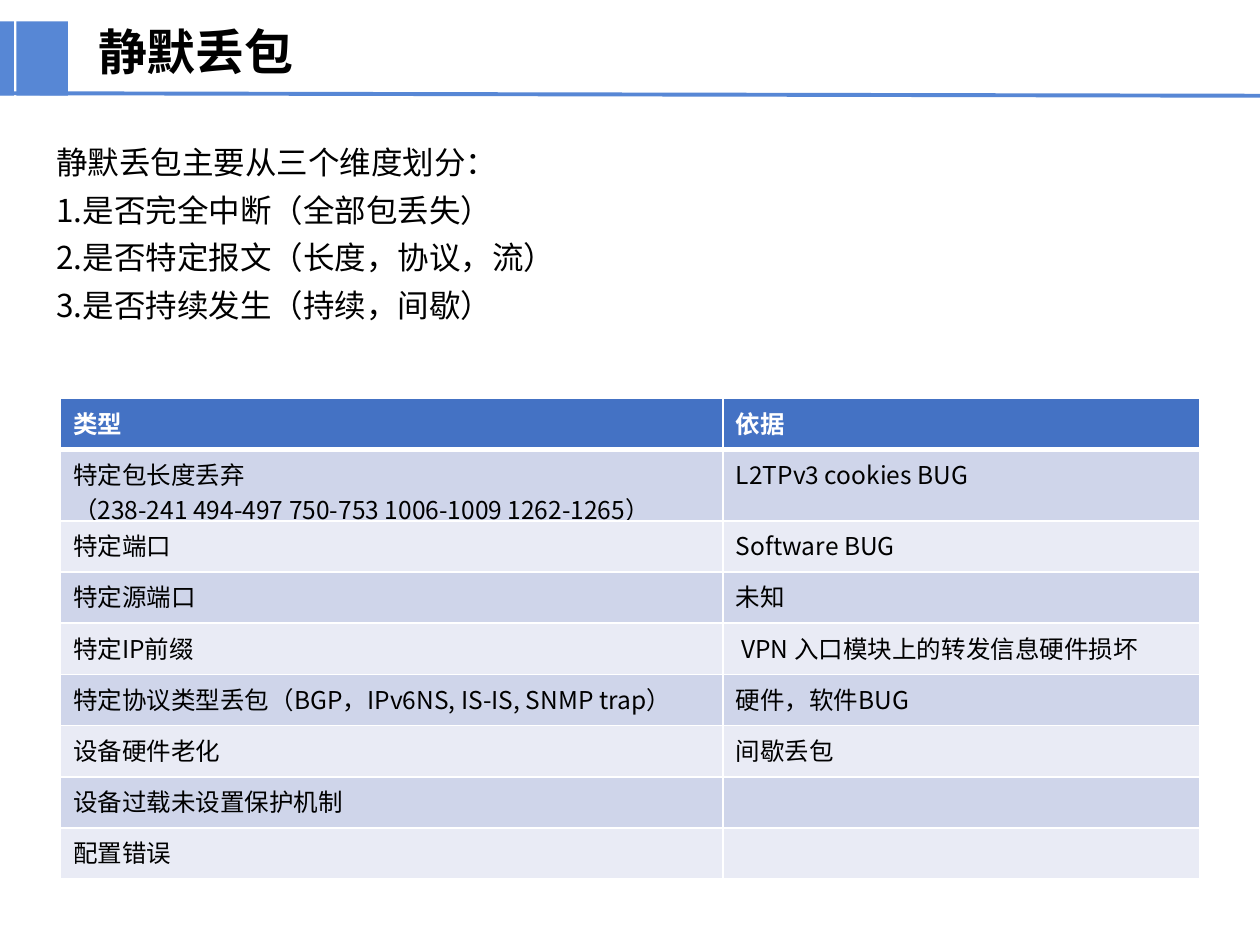
from dataclasses import dataclass

from lxml import etree
from pptx import Presentation
from pptx.dml.color import RGBColor
from pptx.enum.lang import MSO_LANGUAGE_ID
from pptx.enum.shapes import MSO_CONNECTOR, MSO_SHAPE
from pptx.enum.text import MSO_ANCHOR
from pptx.oxml.ns import qn
from pptx.slide import Slide
from pptx.table import _Cell
from pptx.text.text import TextFrame
from pptx.util import Inches, Pt

RECTANGLE = MSO_SHAPE.RECTANGLE
STRAIGHT = MSO_CONNECTOR.STRAIGHT
MIDDLE = MSO_ANCHOR.MIDDLE
TOP = MSO_ANCHOR.TOP
CHINESE = MSO_LANGUAGE_ID.SIMPLIFIED_CHINESE


@dataclass(frozen=True)
class Theme:
    font: str = "Noto Sans CJK SC"
    accent: RGBColor = RGBColor(0x57, 0x87, 0xD5)
    header: RGBColor = RGBColor(0x44, 0x72, 0xC4)
    bands: tuple[RGBColor, RGBColor] = (
        RGBColor(0xCF, 0xD5, 0xEA), RGBColor(0xE9, 0xEB, 0xF5))
    black: RGBColor = RGBColor(0, 0, 0)
    white: RGBColor = RGBColor(0xFF, 0xFF, 0xFF)
    title_size: float = 28
    body_size: float = 18
    table_size: float = 14


@dataclass(frozen=True)
class Box:
    left: float
    top: float
    width: float
    height: float

    def lengths(self) -> tuple[Inches, Inches, Inches, Inches]:
        return (Inches(self.left), Inches(self.top),
                Inches(self.width), Inches(self.height))


@dataclass(frozen=True)
class TextStyle:
    size: float
    color: RGBColor
    bold: bool = False
    line_spacing: float = 1.0
    space_after: float = 0


THEME = Theme()
TITLE = TextStyle(THEME.title_size, THEME.black, bold=True, line_spacing=0.9)
BODY = TextStyle(THEME.body_size, THEME.black, line_spacing=0.9, space_after=7.7)
TABLE_HEADER = TextStyle(THEME.table_size, THEME.white, bold=True)
TABLE_BODY = TextStyle(THEME.table_size, THEME.black)

HEADER_BLOCKS = (Box(0, 0.17, 0.11, 0.59), Box(0.13, 0.17, 0.41, 0.59))
DIMENSIONS = (
    "静默丢包主要从三个维度划分：",
    "1.是否完全中断（全部包丢失）",
    "2.是否特定报文（长度，协议，流）",
    "3.是否持续发生（持续，间歇）",
)
COLUMN_WIDTHS = (5.26, 3.78)
LOSS_TYPES = (
    (("类型",), ("依据",)),
    (("特定包长度丢弃", "（238-241 494-497 750-753 1006-1009 1262-1265）"),
     ("L2TPv3 cookies BUG",)),
    (("特定端口",), ("Software BUG",)),
    (("特定源端口",), ("未知",)),
    (("特定IP前缀",), (" VPN 入口模块上的转发信息硬件损坏",)),
    (("特定协议类型丢包（BGP，IPv6NS, IS-IS, SNMP trap）",), ("硬件，软件BUG",)),
    (("设备硬件老化",), ("间歇丢包",)),
    (("设备过载未设置保护机制",), ("",)),
    (("配置错误",), ("",)),
)


def write_lines(frame: TextFrame, lines: tuple[str, ...], style: TextStyle) -> None:
    for index, line in enumerate(lines):
        paragraph = frame.paragraphs[0] if index == 0 else frame.add_paragraph()
        paragraph.line_spacing = style.line_spacing
        paragraph.space_after = Pt(style.space_after)
        paragraph.font.size = Pt(style.size)
        if not line:
            continue
        run = paragraph.add_run()
        run.text = line
        font = run.font
        font.name = THEME.font
        font.size = Pt(style.size)
        font.bold = style.bold
        font.color.rgb = style.color
        font.language_id = CHINESE
        east_asian = etree.Element(qn("a:ea"), typeface=THEME.font)
        run._r.rPr.find(qn("a:latin")).addnext(east_asian)


def add_text(slide: Slide, box: Box, lines: tuple[str, ...],
             style: TextStyle, anchor: MSO_ANCHOR = TOP) -> None:
    frame = slide.shapes.add_textbox(*box.lengths()).text_frame
    frame.word_wrap = True
    frame.vertical_anchor = anchor
    write_lines(frame, lines, style)


def add_header_band(slide: Slide) -> None:
    rule = slide.shapes.add_connector(
        STRAIGHT, Inches(0), Inches(0.74), Inches(10), Inches(0.76))
    rule.line.color.rgb = THEME.accent
    rule.line.width = Pt(2.25)
    etree.SubElement(rule._element.spPr, qn("a:effectLst"))
    for box in HEADER_BLOCKS:
        block = slide.shapes.add_shape(RECTANGLE, *box.lengths())
        block.shadow.inherit = False
        block.fill.solid()
        block.fill.fore_color.rgb = THEME.accent
        block.line.fill.background()


def add_borders(cell: _Cell, top: float, bottom: float) -> None:
    """Draw white borders; call before the fill, which must follow them."""
    properties = cell._tc.get_or_add_tcPr()
    for side, points in (("L", 1), ("R", 1), ("T", top), ("B", bottom)):
        line = etree.SubElement(properties, qn(f"a:ln{side}"), w=str(Pt(points)))
        fill = etree.SubElement(line, qn("a:solidFill"))
        etree.SubElement(fill, qn("a:srgbClr"), val=str(THEME.white))


def add_loss_table(slide: Slide, box: Box) -> None:
    table = slide.shapes.add_table(
        len(LOSS_TYPES), len(COLUMN_WIDTHS), *box.lengths()).table
    for column, width in zip(table.columns, COLUMN_WIDTHS):
        column.width = Inches(width)
    for row_index, row in enumerate(LOSS_TYPES):
        is_header = row_index == 0
        style = TABLE_HEADER if is_header else TABLE_BODY
        color = THEME.header if is_header else THEME.bands[(row_index - 1) % 2]
        for column_index, lines in enumerate(row):
            cell = table.cell(row_index, column_index)
            add_borders(cell, top=3 if row_index == 1 else 1,
                        bottom=3 if is_header else 1)
            cell.fill.solid()
            cell.fill.fore_color.rgb = color
            write_lines(cell.text_frame, lines, style)


def main() -> None:
    presentation = Presentation()
    presentation.slide_width = Inches(10)
    presentation.slide_height = Inches(7.5)
    slide = presentation.slides.add_slide(presentation.slide_layouts[6])
    add_header_band(slide)
    add_text(slide, Box(0.68, 0.13, 7.07, 0.6), ("静默丢包",), TITLE, MIDDLE)
    add_loss_table(slide, Box(0.48, 3.16, sum(COLUMN_WIDTHS), 3.66))
    add_text(slide, Box(0.35, 1.12, 9.07, 2.63), DIMENSIONS, BODY)
    presentation.save("out.pptx")


if __name__ == "__main__":
    main()
